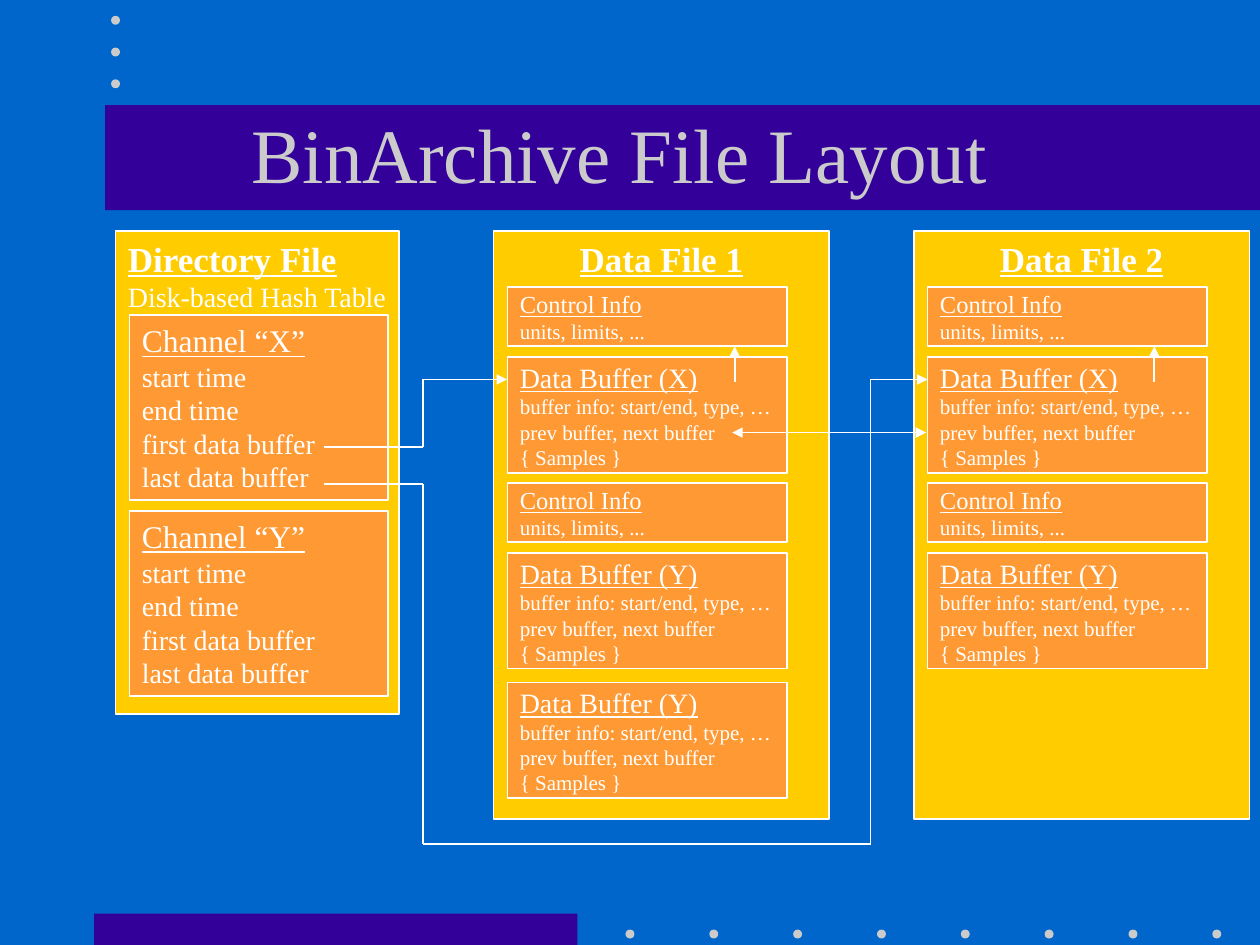
from typing import NamedTuple

from lxml import etree
from pptx import Presentation
from pptx import util as u
from pptx.dml.color import RGBColor
from pptx.enum import shapes, text
from pptx.oxml import ns

HUES = {
    "back": "0066CC",
    "bar": "330099",
    "grey": "CBCBCB",
    "file": "FFCC00",
    "block": "FF9933",
    "white": "FFFFFF",
}
FONT = "Times New Roman"
LEFT, MID = text.PP_ALIGN.LEFT, text.PP_ALIGN.CENTER
TOP, CENTRE = text.MSO_ANCHOR.TOP, text.MSO_ANCHOR.MIDDLE


class Rect(NamedTuple):
    """Place and size in centimetres."""
    x: float
    y: float
    w: float
    h: float


class Line(NamedTuple):
    words: str
    size: int
    under: bool = False
    bold: bool = False


class Wire(NamedTuple):
    """A line between two points in centimetres, with optional arrowheads."""
    x1: float
    y1: float
    x2: float
    y2: float
    ends: tuple[str, ...] = ()


class Block(NamedTuple):
    """An orange box: top and height in centimetres, and its lines."""
    y: float
    h: float
    lines: list[Line]


def hue(name: str) -> RGBColor:
    return RGBColor.from_string(HUES[name])


def write(frame, lines: list[Line], align=LEFT, anchor=CENTRE,
          wrap: bool = True, tint: str = "white") -> None:
    frame.word_wrap = wrap
    frame.vertical_anchor = anchor
    for i, line in enumerate(lines):
        para = frame.paragraphs[0] if i == 0 else frame.add_paragraph()
        para.alignment = align
        run = para.add_run()
        run.text = line.words
        font = run.font
        font.name, font.size = FONT, u.Pt(line.size)
        font.underline, font.bold = line.under, line.bold
        font.color.rgb = hue(tint)


def shape(slide, kind, rect: Rect, fill: str, edge: bool = False):
    item = slide.shapes.add_shape(kind, *map(u.Cm, rect))
    item.shadow.inherit = False
    item.fill.solid()
    item.fill.fore_color.rgb = hue(fill)
    if edge:
        item.line.color.rgb = hue("white")
        item.line.width = u.Pt(1)
    else:
        item.line.fill.background()
    return item


def box(slide, rect: Rect, fill: str, edge: bool = False):
    return shape(slide, shapes.MSO_SHAPE.RECTANGLE, rect, fill, edge)


def dot(slide, x: float, y: float) -> None:
    shape(slide, shapes.MSO_SHAPE.OVAL, Rect(x, y, 0.18, 0.18), "grey")


def stack(slide, x: float, w: float, blocks: list[Block]) -> None:
    for part in blocks:
        item = box(slide, Rect(x, part.y, w, part.h), "block", True)
        write(item.text_frame, part.lines)


def draw(slide, wire: Wire) -> None:
    item = slide.shapes.add_connector(
        shapes.MSO_CONNECTOR.STRAIGHT, *map(u.Cm, wire[:4]))
    item.line.color.rgb = hue("white")
    item.line.width = u.Pt(1)
    stroke = item.line._get_or_add_ln()
    for end in wire.ends:
        etree.SubElement(stroke, ns.qn(f"a:{end}"), type="triangle")
    etree.SubElement(item._element.spPr, ns.qn("a:effectLst"))


def channel(name: str, y: float) -> Block:
    facts = ["start time", "end time", "first data buffer", "last data buffer"]
    head = Line(f"Channel “{name}”", 18, under=True)
    return Block(y, 3.73, [head] + [Line(fact, 16) for fact in facts])


def control(y: float) -> Block:
    return Block(y, 1.19, [Line("Control Info", 14, under=True),
                           Line("units, limits, ...", 12)])


def buffer(name: str, y: float) -> Block:
    facts = ["buffer info: start/end, type, …", "prev buffer, next buffer",
             "{ Samples }"]
    head = Line(f"Data Buffer ({name})", 16, under=True)
    return Block(y, 2.33, [head] + [Line(fact, 12) for fact in facts])


def frame(slide) -> None:
    """Background, bars, dots and title."""
    slide.background.fill.solid()
    slide.background.fill.fore_color.rgb = hue("back")
    box(slide, Rect(1.9, 18.42, 9.74, 0.63), "bar")
    for i in range(8):
        dot(slide, 12.61 + 1.69 * i, 18.74)
    box(slide, Rect(2.12, 2.12, 23.28, 2.12), "bar")
    for i in range(3):
        dot(slide, 2.24, 0.32 + 0.64 * i)
    title = slide.shapes.add_textbox(*map(u.Cm, Rect(1.7, 1.48, 21.59, 3.18)))
    write(title.text_frame, [Line("BinArchive File Layout", 44)], MID,
          tint="grey")


def files(slide) -> None:
    index = box(slide, Rect(2.33, 4.66, 5.72, 9.74), "file", True)
    write(index.text_frame,
          [Line("Directory File", 20, under=True, bold=True),
           Line("Disk-based Hash Table", 16)], anchor=TOP, wrap=False)
    stack(slide, 2.61, 5.22, [channel("X", 6.35), channel("Y", 10.3)])

    pairs = [control(5.79), buffer("X", 7.2), control(9.74), buffer("Y", 11.15)]
    for i, more in enumerate([[buffer("Y", 13.76)], []]):
        x = 9.95 + 8.47 * i
        data = box(slide, Rect(x, 4.66, 6.77, 11.85), "file", True)
        write(data.text_frame,
              [Line(f"Data File {i + 1}", 20, under=True, bold=True)],
              MID, TOP, wrap=False)
        stack(slide, x + 0.28, 5.64, pairs + more)


def wires(slide) -> None:
    tail = ("tailEnd",)
    for wire in [
        Wire(6.54, 9.01, 8.52, 9.01),
        Wire(8.52, 9.01, 8.52, 7.65),
        Wire(8.52, 7.65, 10.22, 7.65, tail),
        Wire(6.54, 9.76, 8.52, 9.76),
        Wire(8.52, 9.76, 8.52, 17.02),
        Wire(8.52, 17.02, 17.55, 17.02),
        Wire(17.55, 17.02, 17.55, 7.65),
        Wire(17.55, 7.65, 18.7, 7.65, tail),
        Wire(14.81, 7.7, 14.81, 6.98, tail),
        Wire(23.27, 7.7, 23.27, 6.98, tail),
        Wire(14.76, 8.72, 18.67, 8.72, ("headEnd", "tailEnd")),
    ]:
        draw(slide, wire)


def main() -> None:
    deck = Presentation()
    deck.slide_width, deck.slide_height = u.Cm(25.4), u.Cm(19.05)
    slide = deck.slides.add_slide(deck.slide_layouts[6])
    frame(slide)
    files(slide)
    wires(slide)
    deck.save("out.pptx")


if __name__ == "__main__":
    main()
